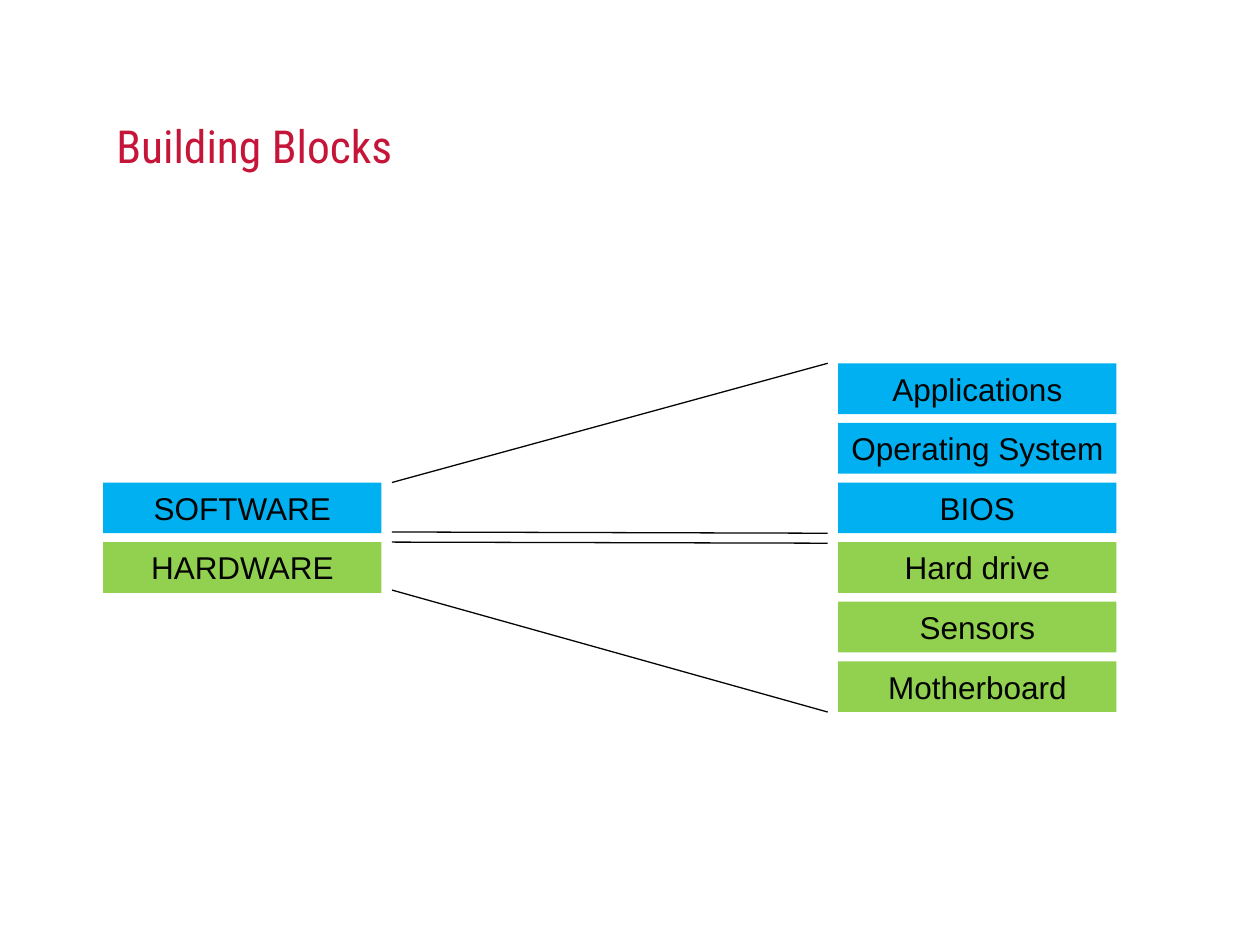
from lxml.etree import SubElement
from pptx import Presentation
from pptx.dml.color import RGBColor
from pptx.enum.shapes import MSO_CONNECTOR, MSO_SHAPE
from pptx.enum.text import MSO_ANCHOR, MSO_AUTO_SIZE, PP_ALIGN
from pptx.oxml.ns import qn
from pptx.util import Pt

CRIMSON = RGBColor(0xC5, 0x15, 0x38)
BLUE = RGBColor(0x00, 0xB0, 0xF0)
GREEN = RGBColor(0x92, 0xD0, 0x50)
INK = RGBColor(0x04, 0x04, 0x04)

BLOCK_WIDTH, BLOCK_HEIGHT, BLOCK_PITCH = 159, 29, 34.06
STACK_TOP = 207.6
SUMMARY_LEFT, DETAIL_LEFT = 59, 479
LINE_START, LINE_END = 224, 473

SUMMARY_BLOCKS = [("SOFTWARE", BLUE), ("HARDWARE", GREEN)]
DETAIL_BLOCKS = [
    ("Applications", BLUE),
    ("Operating System", BLUE),
    ("BIOS", BLUE),
    ("Hard drive", GREEN),
    ("Sensors", GREEN),
    ("Motherboard", GREEN),
]


def set_attributes(target, values):
    for name, value in values.items():
        setattr(target, name, value)


class SlideBuilder:
    title_font = {"name": "Roboto Condensed", "size": Pt(26), "bold": False}
    block_font = {"name": "Arial", "size": Pt(18), "bold": False}
    title_frame = {
        "vertical_anchor": MSO_ANCHOR.BOTTOM,
        "auto_size": MSO_AUTO_SIZE.NONE,
        "word_wrap": True,
        "margin_left": 0, "margin_top": 0, "margin_right": 0, "margin_bottom": 0,
    }
    block_frame = {"vertical_anchor": MSO_ANCHOR.TOP, "word_wrap": True}

    def __init__(self, slide):
        self.slide = slide

    def fill_text(self, shape, text, frame, font, color, alignment):
        set_attributes(shape.text_frame, frame)
        paragraph = shape.text_frame.paragraphs[0]
        paragraph.text = text
        paragraph.alignment = alignment
        set_attributes(paragraph.font, font)
        paragraph.font.color.rgb = color

    def title(self, text, left, top, width, height):
        shape = self.slide.shapes.title
        set_attributes(shape, {"left": Pt(left), "top": Pt(top),
                               "width": Pt(width), "height": Pt(height)})
        self.fill_text(shape, text, self.title_frame, self.title_font,
                       CRIMSON, PP_ALIGN.LEFT)

    def block(self, text, color, left, top):
        shape = self.slide.shapes.add_shape(
            MSO_SHAPE.RECTANGLE, Pt(left), Pt(top),
            Pt(BLOCK_WIDTH), Pt(BLOCK_HEIGHT))
        shape.shadow.inherit = False
        shape.fill.solid()
        shape.fill.fore_color.rgb = color
        shape.line.fill.background()
        self.fill_text(shape, text, self.block_frame, self.block_font,
                       INK, PP_ALIGN.CENTER)

    def stack(self, blocks, left, top):
        for row, (text, color) in enumerate(blocks):
            self.block(text, color, left, top + row * BLOCK_PITCH)

    def line(self, start_y, end_y):
        connector = self.slide.shapes.add_connector(
            MSO_CONNECTOR.STRAIGHT, Pt(LINE_START), Pt(start_y),
            Pt(LINE_END), Pt(end_y))
        connector.line.color.rgb = INK
        connector.line.width = Pt(0.75)
        SubElement(connector._element.spPr, qn("a:effectLst"))


def main():
    presentation = Presentation()
    presentation.slide_width, presentation.slide_height = Pt(720), Pt(540)
    title_only = presentation.slide_layouts[5]
    builder = SlideBuilder(presentation.slides.add_slide(title_only))

    builder.title("Building Blocks", 66.5, 48.5, 594, 50)
    software_top = STACK_TOP + 2 * BLOCK_PITCH
    builder.stack(SUMMARY_BLOCKS, SUMMARY_LEFT, software_top)
    builder.stack(DETAIL_BLOCKS, DETAIL_LEFT, STACK_TOP)

    hardware_top = software_top + BLOCK_PITCH
    stack_bottom = STACK_TOP + 5 * BLOCK_PITCH + BLOCK_HEIGHT
    builder.line(software_top, STACK_TOP)
    builder.line(304, software_top + BLOCK_HEIGHT)
    builder.line(hardware_top, 310.4)
    builder.line(337.2, stack_bottom)

    presentation.save("out.pptx")


if __name__ == "__main__":
    main()
